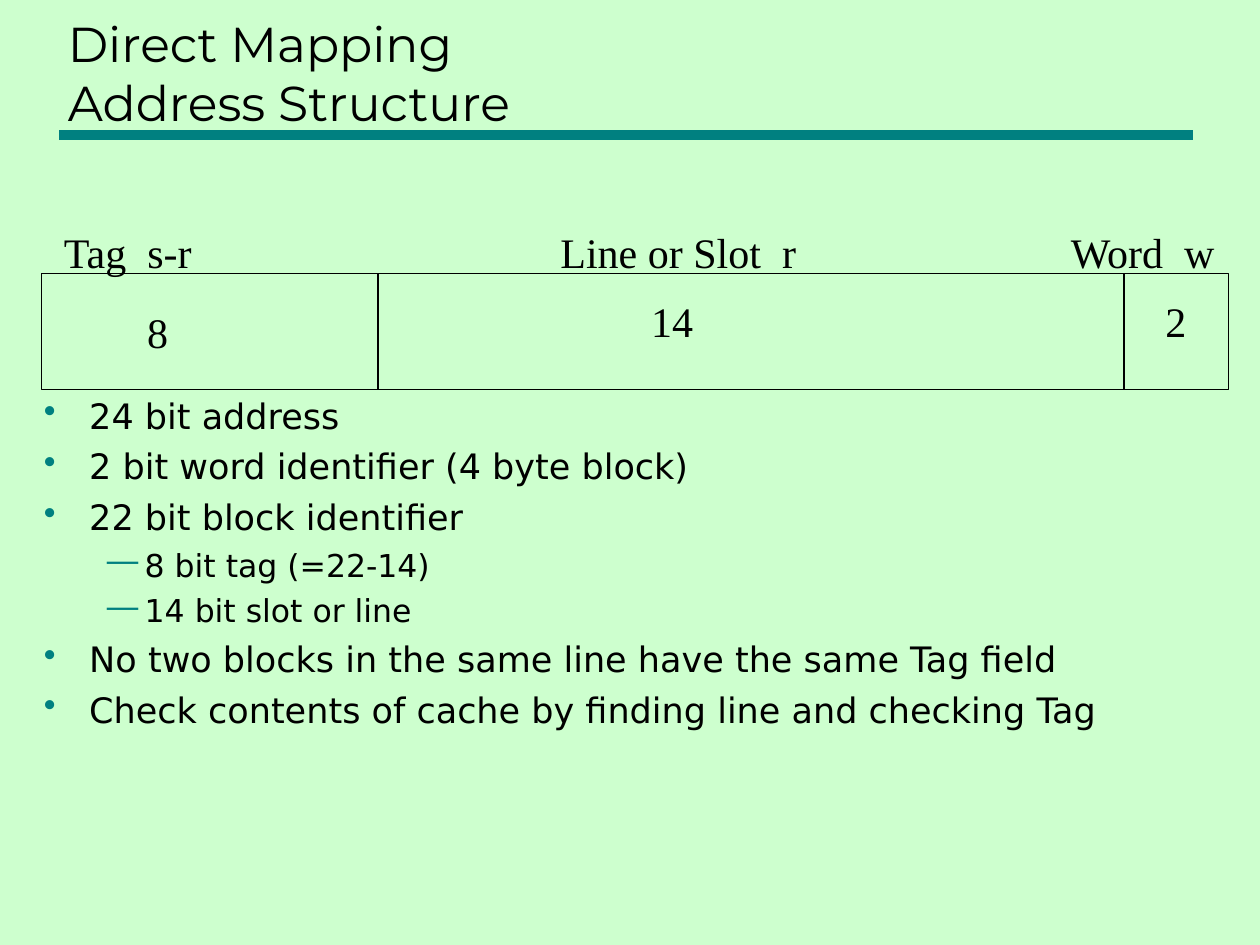
from lxml import etree
from pptx import Presentation
from pptx.dml.color import RGBColor
from pptx.enum import shapes, text
from pptx.oxml import ns
from pptx.util import Inches, Pt

MINT = RGBColor(0xCD, 0xFF, 0xCE)
TEAL = RGBColor(0x00, 0x80, 0x80)
BLACK = RGBColor(0, 0, 0)

FIELD_TOP, FIELD_HEIGHT = 2.17, 0.92
FIELD_LEFT, FIELD_WIDTH = 0.33, 9.42
DIVIDERS = (3, 8.92)

# label, label left, label width, bits, bits left, bits top, bits width
FIELDS = [
    ("Tag  s-r", 0.41, 1.23, "8", 1.07, 2.38, 0.36),
    ("Line or Slot  r", 4.35, 2.07, "14", 5.07, 2.3, 0.53),
    ("Word  w", 8.4, 1.36, "2", 9.15, 2.3, 0.36),
]

# level, wording
POINTS = [
    (0, "24 bit address"),
    (0, "2 bit word identifier (4 byte block)"),
    (0, "22 bit block identifier"),
    (1, "8 bit tag (=22-14)"),
    (1, "14 bit slot or line"),
    (0, "No two blocks in the same line have the same Tag field"),
    (0, "Check contents of cache by finding line and checking Tag"),
]

# bullet, size, space before, left margin, hanging indent for each level
LEVELS = [("•", 20, 5, 0.36, 0.36), ("—", 18, 4.5, 0.8, 0.3)]


def style(paragraph, font_name, size):
    paragraph.font.name = font_name
    paragraph.font.size = Pt(size)
    paragraph.font.color.rgb = BLACK


def add_text_frame(slide, left, top, width, height, wrap=True):
    box = slide.shapes.add_textbox(Inches(left), Inches(top), Inches(width), Inches(height))
    box.text_frame.word_wrap = wrap
    return box.text_frame


def add_line(slide, x1, y1, x2, y2, color, weight):
    line = slide.shapes.add_connector(
        shapes.MSO_CONNECTOR.STRAIGHT, Inches(x1), Inches(y1), Inches(x2), Inches(y2))
    line.line.color.rgb = color
    line.line.width = Pt(weight)
    etree.SubElement(line._element.spPr, ns.qn("a:effectLst"))


def add_title(slide):
    frame = add_text_frame(slide, 0.44, 0.17, 8.97, 0.92)
    frame.vertical_anchor = text.MSO_ANCHOR.BOTTOM
    frame.text = "Direct Mapping\vAddress Structure"
    style(frame.paragraphs[0], "Montserrat", 28)


def add_field_text(slide, wording, left, top, width):
    frame = add_text_frame(slide, left, top, width, 0.5, wrap=False)
    frame.text = wording
    style(frame.paragraphs[0], "Times New Roman", 24)


def add_address(slide):
    """Draw the address word, divided into its labelled fields."""
    outline = slide.shapes.add_shape(
        shapes.MSO_SHAPE.RECTANGLE, Inches(FIELD_LEFT), Inches(FIELD_TOP),
        Inches(FIELD_WIDTH), Inches(FIELD_HEIGHT))
    outline.shadow.inherit = False
    outline.fill.background()
    outline.line.color.rgb = BLACK
    outline.line.width = Pt(0.75)
    for x in DIVIDERS:
        add_line(slide, x, FIELD_TOP, x, FIELD_TOP + FIELD_HEIGHT, BLACK, 0.75)
    for label, label_left, label_width, bits, bits_left, bits_top, bits_width in FIELDS:
        add_field_text(slide, label, label_left, 1.75, label_width)
        add_field_text(slide, bits, bits_left, bits_top, bits_width)


def set_bullet(paragraph, bullet, margin, hanging):
    properties = paragraph._p.get_or_add_pPr()
    properties.set("marL", str(Inches(margin)))
    properties.set("indent", str(-Inches(hanging)))
    color = etree.SubElement(properties, ns.qn("a:buClr"))
    etree.SubElement(color, ns.qn("a:srgbClr"), val=str(TEAL))
    etree.SubElement(properties, ns.qn("a:buChar"), char=bullet)


def add_points(slide):
    frame = add_text_frame(slide, 0.25, 3.08, 9.19, 3.54)
    for index, (level, wording) in enumerate(POINTS):
        bullet, size, space, margin, hanging = LEVELS[level]
        paragraph = frame.add_paragraph() if index else frame.paragraphs[0]
        paragraph.text = wording
        paragraph.level = level
        paragraph.space_before = Pt(space)
        set_bullet(paragraph, bullet, margin, hanging)
        style(paragraph, "DejaVu Sans", size)


def main():
    deck = Presentation()
    deck.slide_width, deck.slide_height = Inches(10), Inches(7.5)
    slide = deck.slides.add_slide(deck.slide_layouts[6])
    slide.background.fill.solid()
    slide.background.fill.fore_color.rgb = MINT
    add_line(slide, 0.47, 1.07, 9.47, 1.07, TEAL, 6)
    add_title(slide)
    add_address(slide)
    add_points(slide)
    deck.save("out.pptx")


if __name__ == "__main__":
    main()
